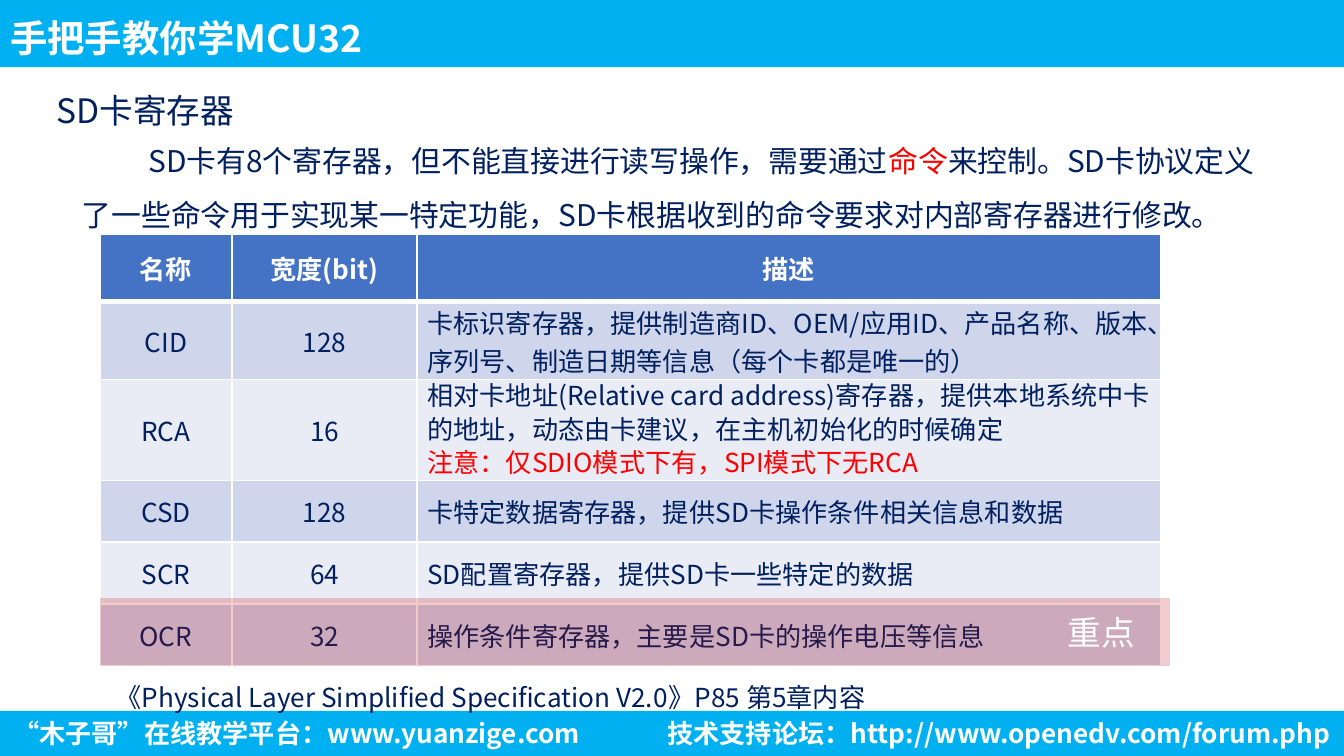
from lxml.etree import SubElement
from pptx import Presentation
from pptx.dml.color import RGBColor
from pptx.enum.shapes import MSO_SHAPE as Shape
from pptx.enum.text import MSO_ANCHOR as Anchor, MSO_AUTO_SIZE as AutoSize, PP_ALIGN as Align
from pptx.oxml.ns import qn
from pptx.util import Pt

PX = 4572
FONT = "Noto Sans CJK SC"
COLORS = {
    "white": "FFFFFF", "sky": "00B0F0", "navy": "002060", "red": "FF0000",
    "header": "4472C4", "odd": "CFD5EA", "even": "E9EBF5", "key": "C00000",
}
COLUMNS = [196, 276, 1106]
ROWS = [100, 116, 148, 92, 92, 92]
HEADINGS = ["名称", "宽度(bit)", "描述"]
REGISTERS = [
    ("CID", "128", ["卡标识寄存器，提供制造商ID、OEM/应用ID、产品名称、版本、序列号、制造日期等信息（每个卡都是唯一的）"]),
    ("RCA", "16", ["相对卡地址(Relative card address)寄存器，提供本地系统中卡的地址，动态由卡建议，在主机初始化的时候确定",
                   "注意：仅SDIO模式下有，SPI模式下无RCA"]),
    ("CSD", "128", ["卡特定数据寄存器，提供SD卡操作条件相关信息和数据"]),
    ("SCR", "64", ["SD配置寄存器，提供SD卡一些特定的数据"]),
    ("OCR", "32", ["操作条件寄存器，主要是SD卡的操作电压等信息"]),
]


def color(name):
    return RGBColor.from_string(COLORS[name])


def scaled(*lengths):
    return [length * PX for length in lengths]


def style(para, size, tint, bold=False, align=Align.LEFT, spacing=None):
    para.alignment = align
    if spacing:
        para.line_spacing = spacing
    font = para.font
    font.size, font.bold, font.name = Pt(size), bold, FONT
    font.color.rgb = color(tint)
    defaults = para._p.pPr.find(qn("a:defRPr"))
    SubElement(defaults, qn("a:ea"), typeface=FONT)


def set_margins(target, horizontal, vertical):
    target.margin_left = target.margin_right = horizontal * PX
    target.margin_top = target.margin_bottom = vertical * PX


def add_bar(page, box, tint):
    bar = page.shapes.add_shape(Shape.RECTANGLE, *scaled(*box))
    bar.shadow.inherit = False
    bar.fill.solid()
    bar.fill.fore_color.rgb = color(tint)
    bar.line.fill.background()
    return bar


def add_text(page, box, text, size, tint, margins=(10, 5), grow=True, **look):
    frame = page.shapes.add_textbox(*scaled(*box)).text_frame
    frame.word_wrap = True
    frame.auto_size = AutoSize.SHAPE_TO_FIT_TEXT if grow else AutoSize.NONE
    set_margins(frame, *margins)
    para = frame.paragraphs[0]
    if text:
        para.text = text
    style(para, size, tint, **look)
    return frame


def add_header(page, left, top, width, height):
    add_bar(page, (left, top, width, height), "sky")
    frame = add_text(page, (left, top, 1290, height), "手把手教你学MCU32", 20, "white",
                     margins=(15, 8), grow=False, bold=True, spacing=1.2)
    frame.vertical_anchor = Anchor.MIDDLE


def add_footer(page, left, top, width, height):
    add_bar(page, (left, top, width, height), "sky")
    look = {"margins": (20, 10), "bold": True}
    add_text(page, (left, top, 1176, height), "“木子哥”在线教学平台：www.yuanzige.com",
             14, "white", **look)
    add_text(page, (left + width - 1254, top, 1254, height), "技术支持论坛：http://www.openedv.com/forum.php",
             14, "white", align=Align.RIGHT, **look)


def add_intro(page, left, top, width, height):
    add_text(page, (left, top, 416, 92), "SD卡寄存器", 18, "navy", spacing=1.5)
    frame = add_text(page, (left + 38, top + 82, width - 38, height - 82), "", 16, "navy", spacing=1.5)
    para = frame.paragraphs[0]
    para._p.pPr.set("indent", str(99 * PX))
    for text, tint in [
        ("SD卡有8个寄存器，但不能直接进行读写操作，需要通过", "navy"),
        ("命令", "red"),
        ("来控制。SD卡协议定义了一些命令用于实现某一特定功能，SD卡根据收到的命令要求对内部寄存器进行修改。", "navy"),
    ]:
        span = para.add_run()
        span.text = text
        span.font.color.rgb = color(tint)


def add_borders(cell, bottom):
    properties = cell._tc.get_or_add_tcPr()
    for side, width in {"L": 1, "R": 1, "B": bottom}.items():
        line = SubElement(properties, qn(f"a:ln{side}"), w=str(Pt(width)))
        fill = SubElement(line, qn("a:solidFill"))
        SubElement(fill, qn("a:srgbClr"), val=COLORS["white"])


def fill_cell(cell, lines, fill, tint="navy", bottom=1, bold=False, align=Align.CENTER):
    add_borders(cell, bottom)
    cell.fill.solid()
    cell.fill.fore_color.rgb = color(fill)
    cell.vertical_anchor = Anchor.MIDDLE
    set_margins(cell, 15, 0)
    cell.text_frame.text = "\n".join(lines)
    spacing = Pt(18) if len(lines) > 1 else None
    for index, para in enumerate(cell.text_frame.paragraphs):
        style(para, 14, "red" if index else tint, bold, align, spacing)


def add_register_table(page, left, top, width, height):
    frame = page.shapes.add_table(len(ROWS), len(COLUMNS), *scaled(left, top, width, height))
    table = frame.table
    for column, size in zip(table.columns, COLUMNS):
        column.width = size * PX
    for row, size in zip(table.rows, ROWS):
        row.height = size * PX
    for column, heading in enumerate(HEADINGS):
        fill_cell(table.cell(0, column), [heading], "header", "white", bottom=3, bold=True)
    for index, (name, bits, notes) in enumerate(REGISTERS, 1):
        band = "odd" if index % 2 else "even"
        fill_cell(table.cell(index, 0), [name], band)
        fill_cell(table.cell(index, 1), [bits], band)
        fill_cell(table.cell(index, 2), notes, band, align=Align.LEFT)


def add_highlight(page, left, top, width, height):
    band = add_bar(page, (left, top, width, height), "key")
    tint = band._element.spPr.find(f"{qn('a:solidFill')}/{qn('a:srgbClr')}")
    SubElement(tint, qn("a:alpha"), val="20000")
    frame = band.text_frame
    frame.vertical_anchor = Anchor.MIDDLE
    frame.margin_right = 52 * PX
    para = frame.paragraphs[0]
    para.text = "重点"
    style(para, 18, "white", align=Align.RIGHT)


def main():
    deck = Presentation()
    deck.slide_width, deck.slide_height = scaled(2000, 1125)
    page = deck.slides.add_slide(deck.slide_layouts[6])
    add_footer(page, 0, 1058, 2000, 67)
    add_header(page, 0, 0, 2000, 100)
    add_intro(page, 74, 99, 1816, 246)
    add_register_table(page, 149, 349, sum(COLUMNS), sum(ROWS))
    add_text(page, (162, 985, 1232, 74), "《Physical Layer Simplified Specification V2.0》P85 第5章内容",
             14, "navy", spacing=1.5)
    add_highlight(page, 149, 890, 1592, 101)
    deck.save("out.pptx")


if __name__ == "__main__":
    main()
